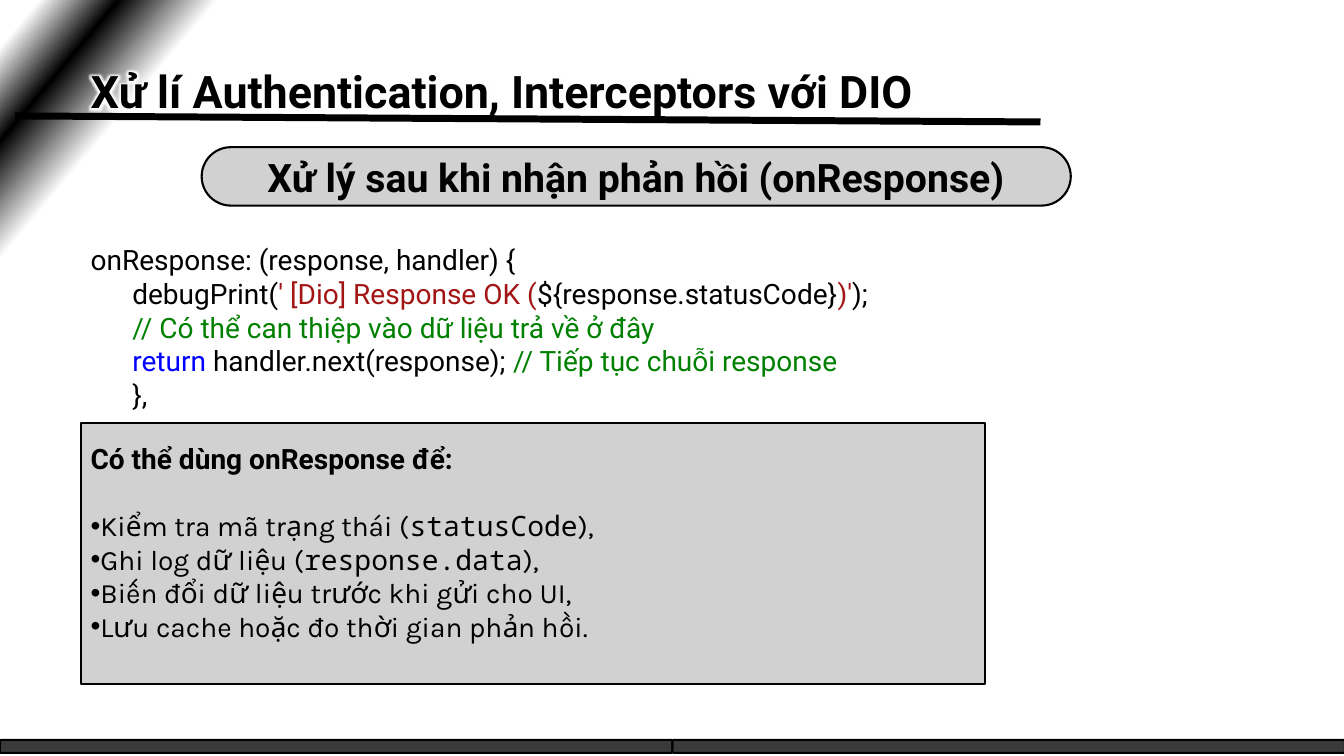
"""Build the slide on handling responses with Dio interceptors."""
from dataclasses import dataclass

from lxml.etree import SubElement
from pptx import Presentation
from pptx.dml.color import RGBColor
from pptx.enum.shapes import MSO_CONNECTOR, MSO_SHAPE
from pptx.enum.text import MSO_ANCHOR, MSO_AUTO_SIZE, PP_ALIGN
from pptx.oxml import parse_xml
from pptx.oxml.ns import nsdecls, qn
from pptx.util import Inches, Pt

BLACK, GREY, DARK = "000000", "D1D1D1", "3A3A3A"
RED, GREEN, BLUE = "A31515", "008000", "0000FF"
BODY, LIST, MONO = "Roboto", "Karla", "Noto Sans Mono"
INDENT = "      "
BAR_WIDTH = 6.67


@dataclass(frozen=True)
class Span:
    text: str
    color: str = BLACK
    font: str = BODY
    bold: bool = False


@dataclass(frozen=True)
class Line:
    spans: tuple[Span, ...]
    bullet: bool = False
    space_before: int = 0


@dataclass(frozen=True)
class Panel:
    preset: MSO_SHAPE
    left: float
    top: float
    width: float
    height: float
    fill: str = GREY
    corner: float | None = None


@dataclass(frozen=True)
class TextBlock:
    left: float
    top: float
    width: float
    height: float
    size: int
    lines: tuple[Line, ...]
    align: PP_ALIGN = PP_ALIGN.LEFT


def bullet_line(*spans: Span, space_before: int = 0) -> Line:
    return Line(spans, True, space_before)


def item(text: str) -> Span:
    return Span(text, font=LIST)


def mono(text: str) -> Span:
    return Span(text, font=MONO)


def rgb(color: str) -> RGBColor:
    return RGBColor.from_string(color)


def set_all(target, formats: dict) -> None:
    for name, value in formats.items():
        setattr(target, name, value)


def paint_background(slide) -> None:
    stops = "".join(
        f'<a:gs pos="{pos * 1000}"><a:srgbClr val="{color}"/></a:gs>'
        for pos, color in ((2, "FFFFFF"), (6, BLACK), (11, "FFFFFF"))
    )
    fill = slide.background.fill
    fill.gradient()
    default = slide._element.find(".//" + qn("a:gradFill"))
    default.getparent().replace(default, parse_xml(
        f'<a:gradFill rotWithShape="1" {nsdecls("a")}><a:gsLst>{stops}</a:gsLst>'
        f'<a:lin ang="{40 * 60000}" scaled="0"/></a:gradFill>'
    ))


def place(shape, area: Panel | TextBlock) -> None:
    set_all(shape, {side: Inches(getattr(area, side))
                    for side in ("left", "top", "width", "height")})


def draw_panel(slide, panel: Panel) -> None:
    shape = slide.shapes.add_shape(panel.preset, 0, 0, 0, 0)
    place(shape, panel)
    if panel.corner is not None:
        shape.adjustments[0] = panel.corner
    shape.shadow.inherit = False
    shape.fill.solid()
    shape.fill.fore_color.rgb = rgb(panel.fill)
    shape.line.color.rgb = rgb(BLACK)
    shape.line.width = Pt(1.5)


def write_text(shape, block: TextBlock) -> None:
    place(shape, block)
    frame = shape.text_frame
    set_all(frame, {"word_wrap": True, "auto_size": MSO_AUTO_SIZE.NONE,
                    "vertical_anchor": MSO_ANCHOR.TOP})
    for index, line in enumerate(block.lines):
        paragraph = frame.add_paragraph() if index else frame.paragraphs[0]
        set_all(paragraph, {"alignment": block.align})
        if line.space_before:
            paragraph.space_before = Pt(line.space_before)
        if line.bullet:
            properties = paragraph._p.get_or_add_pPr()
            SubElement(properties, qn("a:buFont"), typeface="Arial")
            SubElement(properties, qn("a:buChar"), char="•")
        for span in line.spans:
            run = paragraph.add_run()
            run.text = span.text
            set_all(run.font, {"size": Pt(block.size), "name": span.font, "bold": span.bold})
            run.font.color.rgb = rgb(span.color)


def add_glow(shape) -> None:
    for paragraph in shape.text_frame.paragraphs:
        for run in paragraph.runs:
            run._r.rPr.find(qn("a:latin")).addprevious(parse_xml(
                f'<a:effectLst {nsdecls("a")}><a:glow rad="{Pt(8)}">'
                '<a:srgbClr val="FFFFFF"/></a:glow></a:effectLst>'
            ))


def draw_rule(slide) -> None:
    rule = slide.shapes.add_connector(
        MSO_CONNECTOR.STRAIGHT, Inches(0.15), Inches(1.15), Inches(10.32), Inches(1.21))
    rule.line.color.rgb = rgb(BLACK)
    rule.line.width = Pt(5)
    SubElement(rule._element.spPr, qn("a:effectLst"))


HEADING = TextBlock(0.8, 0.58, 9.83, 0.64, 32, (
    Line((Span("Xử lí Authentication, Interceptors với DIO", bold=True),)),))
SUBHEADING = TextBlock(1.97, 1.47, 8.67, 0.57, 28, (
    Line((Span("Xử lý sau khi nhận phản hồi (onResponse)", bold=True),)),), PP_ALIGN.CENTER)
CODE = TextBlock(0.8, 2.36, 10.15, 2.46, 20, (
    Line((Span("onResponse: (response, handler) {"),)),
    Line((Span(INDENT + "debugPrint("), Span("' [Dio] Response OK (", RED),
          Span("${response.statusCode}"), Span(")'", RED), Span(");"))),
    Line((Span(INDENT), Span("// Có thể can thiệp vào dữ liệu trả về ở đây", GREEN))),
    Line((Span(INDENT), Span("return ", BLUE), Span("handler.next(response); "),
          Span("// Tiếp tục chuỗi response", GREEN))),
    Line((Span(INDENT + "},"),)),
))
USES = TextBlock(0.8, 4.33, 8.97, 2.79, 20, (
    Line((Span("Có thể dùng onResponse để:", bold=True),)),
    bullet_line(item("Kiểm tra mã trạng thái ("), mono("statusCode"), item("),"),
                space_before=24),
    bullet_line(item("Ghi log dữ liệu ("), mono("response.data"), item("),")),
    bullet_line(item("Biến đổi dữ liệu trước khi gửi cho UI,")),
    bullet_line(item("Lưu cache hoặc đo thời gian phản hồi.")),
))
PILL = Panel(MSO_SHAPE.ROUNDED_RECTANGLE, 2, 1.46, 8.62, 0.58, corner=0.5)
USES_PANEL = Panel(MSO_SHAPE.RECTANGLE, 0.8, 4.2, 8.97, 2.59)
FOOTER_BARS = tuple(
    Panel(MSO_SHAPE.ROUNDED_RECTANGLE, column * BAR_WIDTH, 7.34, BAR_WIDTH, 0.13, DARK, 0.12)
    for column in range(2)
)


def main() -> None:
    deck = Presentation()
    set_all(deck, {"slide_width": Inches(13.33), "slide_height": Inches(7.5)})
    slide = deck.slides.add_slide(deck.slide_layouts.get_by_name("Title Only"))
    paint_background(slide)
    write_text(slide.shapes.title, HEADING)
    add_glow(slide.shapes.title)
    draw_rule(slide)
    for panel in (PILL, *FOOTER_BARS, USES_PANEL):
        draw_panel(slide, panel)
    for block in (SUBHEADING, CODE, USES):
        write_text(slide.shapes.add_textbox(0, 0, 0, 0), block)
    deck.save("out.pptx")


if __name__ == "__main__":
    main()
